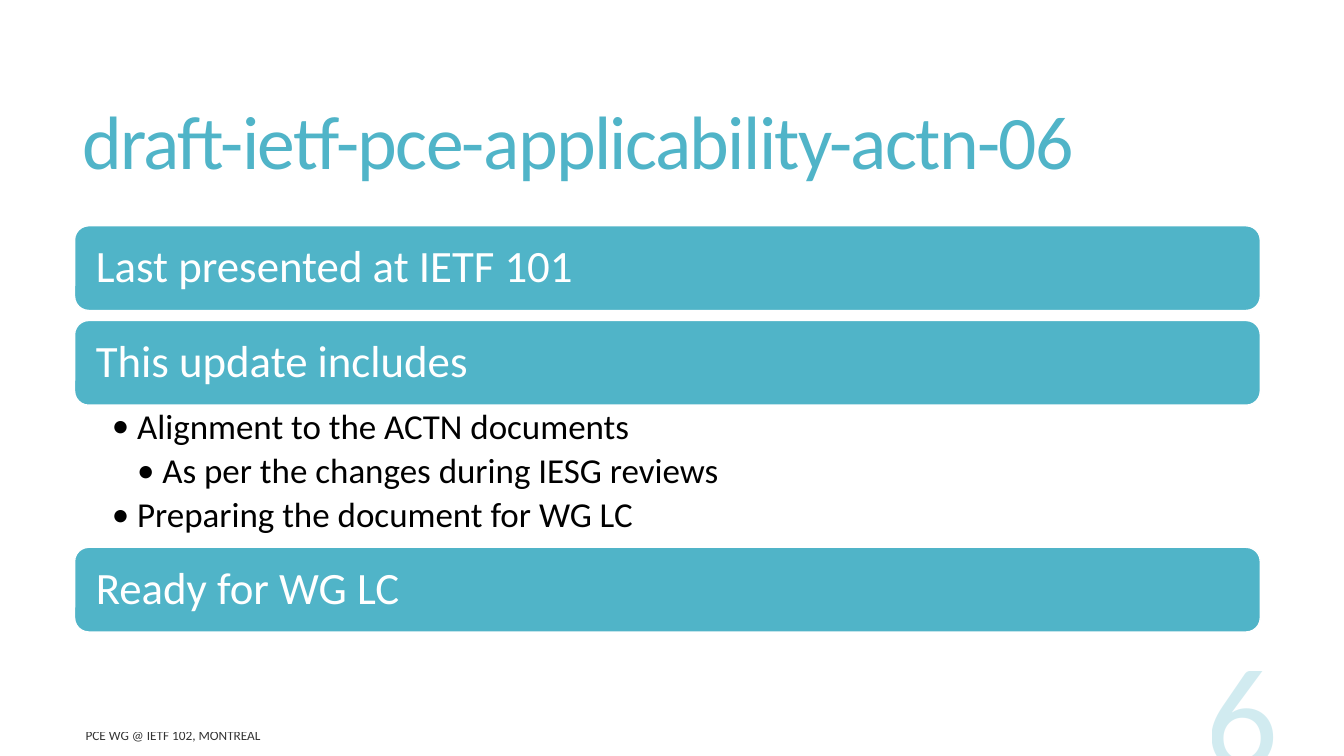
from pptx import Presentation
from pptx import util as u
from pptx.dml.color import RGBColor
from pptx.enum import shapes, text
from pptx.oxml.ns import qn
from lxml import etree

COLOURS = {"teal": "50B4C8", "white": "FFFFFF", "black": "000000"}
FONT = "Calibri"
WIDTH, HEIGHT = 13.33, 7.5

TITLE = "draft-ietf-pce-applicability-actn-06"
FOOTER = "PCE WG @ IETF 102, MONTREAL"
PAGE_NUMBER = "6"
# Each section: bar heading, then (level, bullet text) items.
SECTIONS = [
    ("Last presented at IETF 101", []),
    ("This update includes", [
        (1, "Alignment to the ACTN documents"),
        (2, "As per the changes during IESG reviews"),
        (1, "Preparing the document for WG LC"),
    ]),
    ("Ready for WG LC", []),
]

LEFT, TOP, BAR_WIDTH, BAR_HEIGHT = 0.74, 2.24, 11.76, 0.84
BAR_GAP, ITEM_HEIGHT, INDENT = 0.1, 0.47, 0.25

ANCHOR = text.MSO_ANCHOR
ALIGN = text.PP_ALIGN


def add_detail(parent, tag, **attributes):
    """Append a drawing element with attributes."""
    return etree.SubElement(parent, qn(tag), attributes)


def set_frame(box, anchor, insets=(0.1, 0.05, 0.1, 0.05)):
    """Set wrapping, anchor and insets, and return the text frame."""
    frame = box.text_frame
    names = ("margin_left", "margin_top", "margin_right", "margin_bottom")
    values = dict(zip(names, map(u.Inches, insets)))
    values.update(word_wrap=True, vertical_anchor=anchor)
    for name, value in values.items():
        setattr(frame, name, value)
    return frame


def write(para, words, size, colour, alpha=None, tracking=None, **layout):
    """Write one formatted span into a paragraph."""
    for name, value in {"alignment": ALIGN.LEFT, **layout}.items():
        setattr(para, name, value)
    span = para.add_run()
    span.text = words
    for name, value in {"name": FONT, "size": u.Pt(size)}.items():
        setattr(span.font, name, value)
    span.font.color.rgb = RGBColor.from_string(COLOURS[colour])
    properties = span.font._element
    if alpha:
        add_detail(properties.find(".//" + qn("a:srgbClr")), "a:alpha", val=str(alpha * 1000))
    if tracking:
        properties.set("spc", str(round(tracking * 100)))


def add_label(page, place, words, size, colour, anchor=ANCHOR.MIDDLE, **style):
    """Add a text box holding one line."""
    box = page.shapes.add_textbox(*map(u.Inches, place))
    write(set_frame(box, anchor).paragraphs[0], words, size, colour, **style)


def add_bar(page, top, heading):
    """Add a rounded heading bar."""
    place = map(u.Inches, (LEFT, top, BAR_WIDTH, BAR_HEIGHT))
    bar = page.shapes.add_shape(shapes.MSO_SHAPE.ROUNDED_RECTANGLE, *place)
    bar.shadow.inherit = False
    bar.fill.solid()
    bar.fill.fore_color.rgb = RGBColor.from_string(COLOURS["teal"])
    bar.line.color.rgb = RGBColor.from_string(COLOURS["white"])
    bar.line.width = u.Pt(1)
    frame = set_frame(bar, ANCHOR.MIDDLE, (0.17,) * 4)
    write(frame.paragraphs[0], heading, 32, "white", line_spacing=0.9)


def add_items(page, top, items):
    """Add the bullet list below a bar."""
    place = (LEFT, top, BAR_WIDTH, ITEM_HEIGHT * len(items))
    box = page.shapes.add_textbox(*map(u.Inches, place))
    frame = set_frame(box, ANCHOR.TOP, (0.37, 0.04, 0.25, 0.04))
    for index, (level, words) in enumerate(items):
        para = frame.add_paragraph() if index else frame.paragraphs[0]
        write(para, words, 25, "black", level=level, line_spacing=0.9, space_after=u.Pt(4.5))
        properties = para._p.get_or_add_pPr()
        properties.set("marL", str(u.Inches(INDENT * level)))
        properties.set("indent", str(-u.Inches(INDENT)))
        add_detail(properties, "a:buFont", typeface=FONT)
        add_detail(properties, "a:buChar", char="•")


deck = Presentation()
deck.slide_width, deck.slide_height = u.Inches(WIDTH), u.Inches(HEIGHT)
page = deck.slides.add_slide(deck.slide_layouts[6])

add_label(page, (0.72, 0.55, 11.78, 1.81), TITLE, 54, "teal", tracking=-1.2, line_spacing=0.85)

top = TOP
for heading, items in SECTIONS:
    add_bar(page, top, heading)
    top += BAR_HEIGHT
    if items:
        add_items(page, top, items)
        top += ITEM_HEIGHT * len(items)
    else:
        top += BAR_GAP

add_label(page, (0.75, 7.17, 5.5, 0.25), FOOTER, 9.5, "black", alpha=80)
add_label(page, (9.58, 6.43, 3.2, 1.53), PAGE_NUMBER, 103, "teal",
          anchor=ANCHOR.BOTTOM, alpha=25, alignment=ALIGN.RIGHT)

deck.save("out.pptx")
